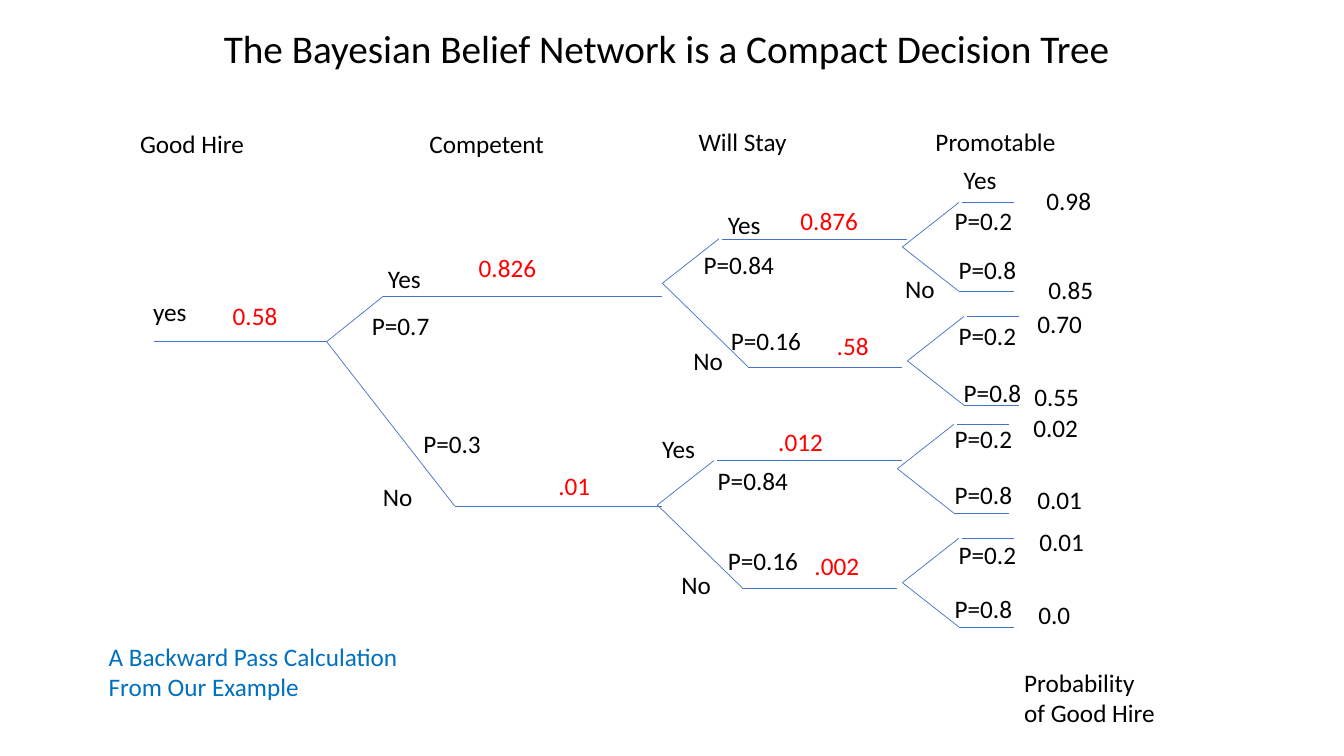
from dataclasses import dataclass

from lxml.etree import SubElement
from pptx import Presentation
from pptx.dml.color import RGBColor
from pptx.enum.shapes import MSO_CONNECTOR
from pptx.enum.text import MSO_ANCHOR, MSO_AUTO_SIZE, PP_ALIGN
from pptx.oxml.ns import qn
from pptx.util import Inches, Pt

COLORS = {"text": "000000", "belief": "FF0000", "note": "0070C0", "branch": "4472C4"}


@dataclass(frozen=True)
class Label:
    text: str
    left: float
    top: float
    width: float
    height: float = 0.4
    color: str = "text"


@dataclass(frozen=True)
class Branch:
    """Offsets from a fork: end of the slope, then start and end of the level line."""
    run: float
    drop: float
    level_start: float
    level_end: float


# Branch geometry of each tree level, with the places of its forks
COMPETENT = (Branch(0.56, -0.45, 0.56, 3.33), Branch(1.27, 1.63, 1.27, 3.33))
WILL_STAY = (Branch(0.56, -0.44, 0.59, 2.43), Branch(0.85, 0.83, 0.85, 2.38))
PROMOTABLE = (Branch(0.56, -0.44, 0.59, 1.11), Branch(0.56, 0.44, 0.56, 1.11))
FORKS = [
    (COMPETENT, [(3.24, 3.39)]),
    (WILL_STAY, [(6.57, 2.81), (6.52, 5.01)]),
    (PROMOTABLE, [(8.95, 2.45), (9.0, 3.58), (8.9, 4.65), (8.95, 5.78)]),
]

HEADINGS = [("Good Hire", 1.29, 1.22), ("Competent", 4.16, 1.22),
            ("Will Stay", 6.83, 1.2), ("Promotable", 9.18, 1.2)]
ANSWERS = [("yes", 1.42, 2.89), ("Yes", 3.75, 2.56), ("No", 3.7, 4.73),
           ("Yes", 7.12, 2.03), ("No", 6.78, 3.38), ("Yes", 6.47, 4.25),
           ("No", 6.66, 5.6), ("Yes", 9.46, 1.58), ("No", 8.88, 2.66)]
PROBABILITIES = [("P=0.7", 3.59, 3.03), ("P=0.3", 4.1, 4.2),
                 ("P=0.84", 6.88, 2.42), ("P=0.16", 7.15, 3.18),
                 ("P=0.84", 7.02, 4.57), ("P=0.16", 7.12, 5.36),
                 ("P=0.2", 9.41, 3.13), ("P=0.8", 9.46, 3.69),
                 ("P=0.2", 9.37, 4.15), ("P=0.8", 9.37, 4.71),
                 ("P=0.2", 9.41, 5.3), ("P=0.8", 9.37, 5.84)]
TALL_PROBABILITIES = [("P=0.2", 9.37, 1.99), ("P=0.8", 9.41, 2.47)]
OUTCOMES = [("0.98", 10.28, 1.79), ("0.85", 10.3, 2.67), ("0.70", 10.19, 3.01),
            ("0.55", 10.16, 3.73), ("0.02", 10.15, 4.04), ("0.01", 10.19, 4.76),
            ("0.01", 10.21, 5.17), ("0.0", 10.2, 5.9)]
BELIEFS = [("0.58", 2.21, 2.93), ("0.826", 4.65, 2.45), (".01", 5.44, 4.62),
           ("0.876", 7.84, 1.99), (".012", 7.62, 4.18), (".002", 7.98, 5.41)]

LABELS = [
    *(Label(*heading, width=3.02) for heading in HEADINGS),
    *(Label(*answer, width=1.3) for answer in ANSWERS + OUTCOMES),
    *(Label(*probability, width=1.12) for probability in PROBABILITIES),
    *(Label(*probability, width=1.12, height=0.71) for probability in TALL_PROBABILITIES),
    *(Label(*belief, width=1.53, color="belief") for belief in BELIEFS),
    Label(".58", 8.2, 3.23, 0.85, color="belief"),
    Label("Probability\nof Good Hire", 10.06, 6.57, 3.17, 0.71),
    Label("A Backward Pass Calculation From Our Example", 0.98, 6.31, 3.17, 0.71, "note"),
]
TITLE = Label("The Bayesian Belief Network is a Compact Decision Tree", 2.12, 0.19, 9.1, 0.57)


def write_label(shape, label: Label, size: int = 18) -> None:
    """Place a text shape and format its wording."""
    frame = shape.text_frame
    frame.text = label.text
    frame_format = {"word_wrap": True, "auto_size": MSO_AUTO_SIZE.SHAPE_TO_FIT_TEXT,
                    "vertical_anchor": MSO_ANCHOR.TOP}
    for name, value in frame_format.items():
        setattr(frame, name, value)
    position = {"left": label.left, "top": label.top,
                "width": label.width, "height": label.height}
    for name, value in position.items():
        setattr(shape, name, Inches(value))
    for paragraph in frame.paragraphs:
        paragraph.alignment = PP_ALIGN.LEFT
        paragraph.line_spacing = 1.0
        for name, value in {"name": "Calibri", "size": Pt(size)}.items():
            setattr(paragraph.font, name, value)
        paragraph.font.color.rgb = RGBColor.from_string(COLORS[label.color])


def draw_line(slide, start: tuple[float, float], end: tuple[float, float]) -> None:
    """Draw one thin line of the tree."""
    points = [Inches(value) for value in (*start, *end)]
    connector = slide.shapes.add_connector(MSO_CONNECTOR.STRAIGHT, *points)
    connector.line.color.rgb = RGBColor.from_string(COLORS["branch"])
    connector.line.width = Pt(0.5)
    SubElement(connector.element.spPr, qn("a:effectLst"))


def draw_fork(slide, x: float, y: float, branches: tuple[Branch, ...]) -> None:
    """Draw the sloping and level lines that leave one fork."""
    for branch in branches:
        level = y + branch.drop
        draw_line(slide, (x, y), (x + branch.run, level))
        draw_line(slide, (x + branch.level_start, level), (x + branch.level_end, level))


def main() -> None:
    presentation = Presentation()
    presentation.slide_width = Inches(13.33)
    presentation.slide_height = Inches(7.5)
    slide = presentation.slides.add_slide(presentation.slide_layouts[5])

    # Title
    write_label(slide.shapes.title, TITLE, size=28)

    # Decision tree
    draw_line(slide, (1.53, 3.39), (3.24, 3.39))
    for branches, places in FORKS:
        for x, y in places:
            draw_fork(slide, x, y, branches)

    # Labels
    for label in LABELS:
        write_label(slide.shapes.add_textbox(0, 0, 0, 0), label)

    presentation.save("out.pptx")


if __name__ == "__main__":
    main()
